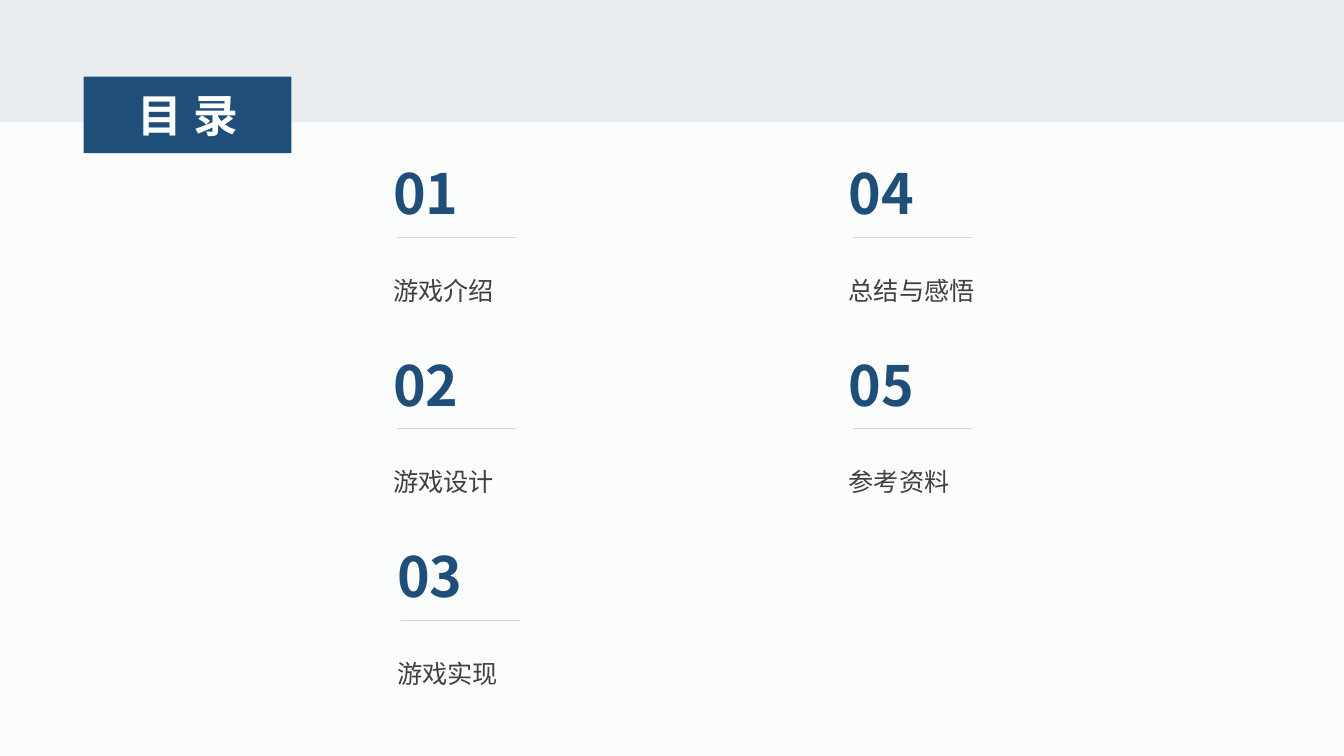
from lxml.etree import SubElement
from pptx import Presentation
from pptx.dml.color import RGBColor
from pptx.enum.shapes import MSO_CONNECTOR, MSO_SHAPE
from pptx.enum.text import MSO_ANCHOR, MSO_AUTO_SIZE, PP_ALIGN
from pptx.oxml.ns import qn
from pptx.util import Inches, Pt

FONT = "Noto Sans CJK SC"
COLORS = {
    "page": "FBFCFC",
    "band": "E9EDF0",
    "accent": "1F4E78",
    "caption": "404040",
    "rule": "D9D9D9",
    "white": "FFFFFF",
}
WIDTH, HEIGHT = 13.33, 7.5
COLUMNS = (3.8, 8.32)
FIRST_ROW, ROW_STEP, ROWS = 1.53, 1.9, 3
CHAPTERS = ("游戏介绍", "游戏设计", "游戏实现", "总结与感悟", "参考资料")
NUDGES = {"游戏实现": 0.04}


def color(name):
    return RGBColor.from_string(COLORS[name])


def paint(shape, name):
    shape.fill.solid()
    shape.fill.fore_color.rgb = color(name)
    shape.line.fill.background()


def write(shape, text, *, size, ink, bold=False, align=PP_ALIGN.LEFT,
          anchor=MSO_ANCHOR.TOP, line_spacing=None, after=None, tracking=None):
    frame = shape.text_frame
    frame.word_wrap = True
    frame.auto_size = MSO_AUTO_SIZE.NONE
    frame.vertical_anchor = anchor
    para = frame.paragraphs[0]
    para.alignment = align
    if line_spacing:
        para.line_spacing = line_spacing
    if after:
        para.space_after = Pt(after)
    span = para.add_run()
    span.text = text
    span.font.size = Pt(size)
    span.font.bold = bold
    span.font.color.rgb = color(ink)
    span.font.name = FONT
    for properties in shape.element.iter(qn("a:rPr")):
        SubElement(properties, qn("a:ea"), typeface=FONT)
        if tracking:
            properties.set("spc", str(tracking * 100))


def add_band(page, height):
    band = page.shapes.add_shape(MSO_SHAPE.RECTANGLE, 0, 0, Inches(WIDTH), Inches(height))
    band.shadow.inherit = False
    paint(band, "band")


def add_title(page, left, top, width, height):
    title = page.shapes.title
    title.left, title.top = Inches(left), Inches(top)
    title.width, title.height = Inches(width), Inches(height)
    paint(title, "accent")
    write(title, "目录", size=32, ink="white", bold=True, align=PP_ALIGN.CENTER,
          anchor=MSO_ANCHOR.MIDDLE, tracking=8)
    # The title overlaps the band, so it goes to the front.
    title.element.getparent().append(title.element)


def add_chapter(page, left, top, number, name):
    caption = page.shapes.add_textbox(
        Inches(left), Inches(top + 1), Inches(3.54), Inches(0.68))
    write(caption, name, size=18, ink="caption", align=PP_ALIGN.JUSTIFY,
          line_spacing=1.5, after=20)
    numeral = page.shapes.add_textbox(
        Inches(left), Inches(top), Inches(0.89), Inches(0.84))
    write(numeral, f"{number:02}", size=39.6, ink="accent", bold=True)
    rule_top = Inches(top + 0.82)
    rule = page.shapes.add_connector(
        MSO_CONNECTOR.STRAIGHT,
        Inches(left + 1.32), rule_top, Inches(left + 0.14), rule_top)
    rule.line.color.rgb = color("rule")
    rule.line.width = Pt(0.5)
    SubElement(rule.element.spPr, qn("a:effectLst"))


def add_contents(page):
    for index, name in enumerate(CHAPTERS):
        column, row = divmod(index, ROWS)
        add_chapter(page, COLUMNS[column] + NUDGES.get(name, 0),
                    FIRST_ROW + row * ROW_STEP, index + 1, name)


def main():
    deck = Presentation()
    deck.slide_width, deck.slide_height = Inches(WIDTH), Inches(HEIGHT)
    page = deck.slides.add_slide(deck.slide_layouts.get_by_name("Title Only"))
    page.background.fill.solid()
    page.background.fill.fore_color.rgb = color("page")
    add_band(page, 1.21)
    add_contents(page)
    add_title(page, 0.83, 0.76, 2.06, 0.76)
    deck.save("out.pptx")


if __name__ == "__main__":
    main()
